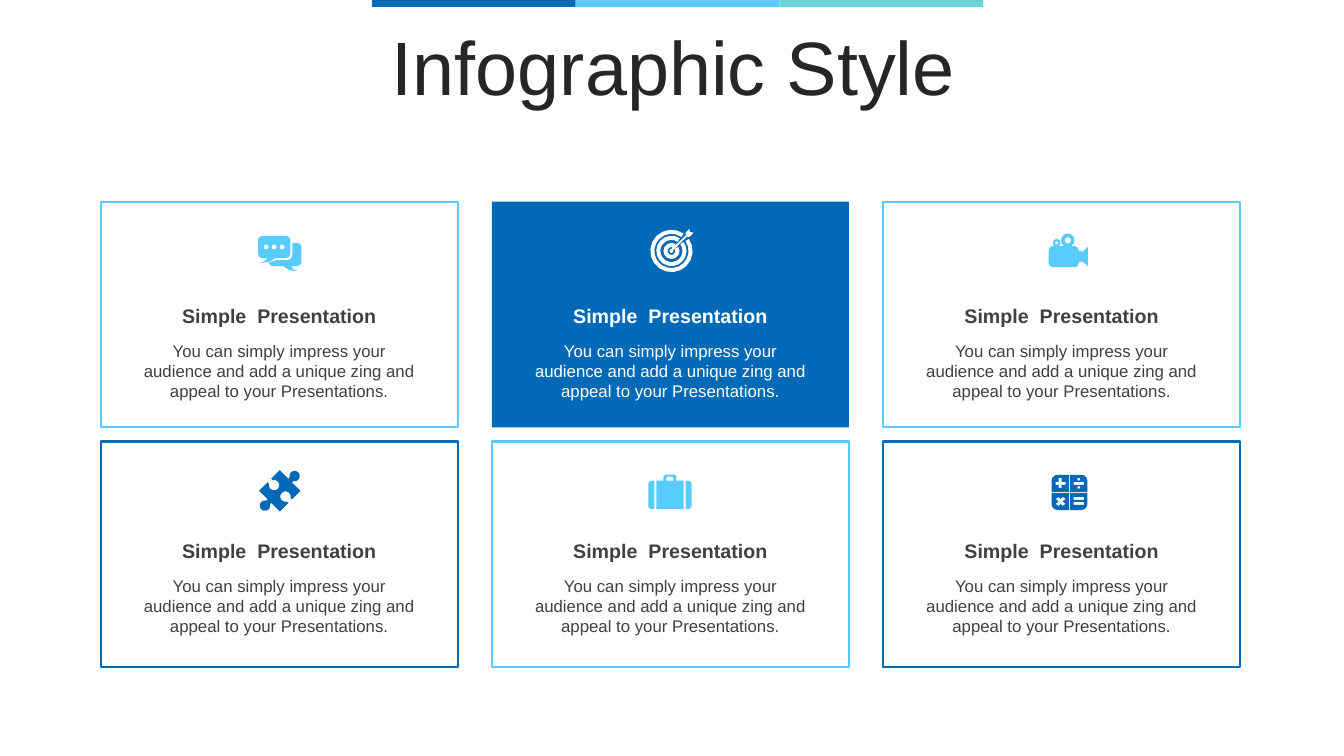
from math import cos, radians, sin

from pptx import Presentation
from pptx.dml.color import RGBColor
from pptx.enum.shapes import MSO_SHAPE as Preset
from pptx.enum.text import MSO_ANCHOR as Anchor, MSO_AUTO_SIZE as AutoSize, PP_ALIGN as Align
from pptx.util import Inches, Pt

BLUE = RGBColor(0x00, 0x6A, 0xB8)
SKY = RGBColor(0x58, 0xCC, 0xFE)
TEAL = RGBColor(0x68, 0xD6, 0xD8)
WHITE = RGBColor(0xFF, 0xFF, 0xFF)
INK = RGBColor(0x26, 0x26, 0x26)
GREY = RGBColor(0x40, 0x40, 0x40)

HEADING = "Simple  Presentation"
MESSAGE = ("You can simply impress your audience and add a unique zing "
           "and appeal to your Presentations.")
CARD_WIDTH, CARD_HEIGHT = 3.54, 2.24
COLUMN_PITCH, ROW_PITCH = 3.88, 2.38
TEXT_WIDTH = 2.98


def arc(x, y, radius, start, end):
    if radius == 0:
        return [(x, y)]
    stride = 45 if radius <= 4 else 30 if radius <= 8 else 20
    steps = round(abs(end - start) / stride)
    angles = [radians(start + (end - start) * i / steps) for i in range(steps + 1)]
    return [(x + radius * cos(a), y + radius * sin(a)) for a in angles]


def disc(x, y, radius):
    return arc(x, y, radius, 0, 360)[:-1]


def band(x, y, outer, inner, start, end):
    return arc(x, y, outer, start, end) + arc(x, y, inner, end, start)


def panel(left, top, right, bottom, corners=(0, 0, 0, 0)):
    a, b, c, d = corners
    return (arc(left + a, top + a, a, 180, 270) + arc(right - b, top + b, b, 270, 360)
            + arc(right - c, bottom - c, c, 0, 90) + arc(left + d, bottom - d, d, 90, 180))


def chat():
    front = (arc(4, 4, 4, 180, 270) + arc(28, 4, 4, 270, 360) + arc(28, 18, 4, 0, 90)
             + [(17, 22), (12, 25.5), (2, 27), (7, 25), (9, 22)] + arc(4, 18, 4, 90, 180))
    back = ([(34, 7)] + arc(39, 11, 4, 270, 360) + arc(39, 26, 4, 0, 90)
            + [(33, 30), (35, 33), (39, 35), (31, 34), (25, 30), (14, 30), (10, 27),
               (18, 24), (29, 24)] + arc(29, 19, 5, 90, 0))
    return [front, back] + [disc(x, 11, 2.5) for x in (8, 16, 24)]


def target():
    arrow = ([(39, 0), (39, 3), (43, 4), (39, 8), (36, 8), (23, 21)]
             + arc(21, 22, 2, 0, 270) + [(35, 7), (35, 4)])
    rings = [(21, 17, -35, 305), (15, 11, -37, 304), (8, 4, -30, 300)]
    return [arrow] + [band(21, 22, *ring) for ring in rings]


def camera():
    lens = [(30, 17), (32, 17), (33, 18), (39, 13), (39, 32), (33, 27), (32, 28), (30, 28)]
    return [panel(0, 12.2, 30, 33, (4, 4, 4, 4)), lens,
            arc(8, 9, 4, 127, 413), disc(8, 9, 1.6),
            arc(19, 6.5, 6.8, 123, 417), disc(19, 6.5, 3.2)]


def puzzle():
    return [[(0, 11.5), (12, 11.5)] + arc(14.5, 5.2, 5.2, 120, 420)
            + [(17, 11.5), (29, 11.5), (29, 23.5)] + arc(22.5, 26, 5.2, -30, -330)
            + [(29, 28.5), (29, 40.5), (17, 40.5)] + arc(14.5, 46.8, 5.2, 300, 600)
            + [(12, 40.5), (0, 40.5), (0, 28.5)] + arc(6.5, 26, 5.2, 150, -150)
            + [(0, 23.5)]]


def suitcase():
    handle = [(15, 6), (15, 2), (17, 0), (26, 0), (28, 2), (28, 6),
              (25, 6), (25, 3), (24, 2), (19, 2), (18, 3), (18, 6)]
    return [panel(0, 6, 6, 34, (3, 0, 0, 3)), panel(8, 6, 35, 34),
            panel(37, 6, 43, 34, (0, 3, 3, 0)), handle]


def calculator():
    keys = [panel(0, 0, 17.3, 17, (6, 0, 0, 0)), panel(18.2, 0, 35.5, 17, (0, 6, 0, 0)),
            panel(18.2, 18, 35.5, 35, (0, 0, 6, 0)), panel(0, 18, 17.3, 35, (0, 0, 0, 6))]
    plus = [(7, 3), (7, 7), (4, 7), (4, 10), (7, 10), (7, 13),
            (10, 13), (10, 10), (14, 10), (14, 7), (10, 7), (10, 3)]
    times = [(7, 22), (4, 24), (7, 26.5), (4, 29), (7, 31), (9, 29),
             (11, 31), (14, 29), (11, 26.5), (14, 24), (11, 22), (9, 24)]
    bars = [panel(22, top, 32, top + 3) for top in (7, 22, 27)]
    return keys + bars + [plus, times, disc(27, 4.5, 1.5), disc(27, 12.5, 1.5)]


def add_panel(slide, left, top, width, height, fill, outline=None):
    shape = slide.shapes.add_shape(Preset.RECTANGLE, *map(Inches, (left, top, width, height)))
    shape.shadow.inherit = False
    shape.fill.solid()
    shape.fill.fore_color.rgb = fill
    if outline is None:
        shape.line.fill.background()
    else:
        shape.line.color.rgb = outline
        shape.line.width = Pt(1.5)


def add_text(slide, left, top, width, height, words, color, frame_format, font_format):
    frame = slide.shapes.add_textbox(*map(Inches, (left, top, width, height))).text_frame
    for name, value in {"word_wrap": True, **frame_format}.items():
        setattr(frame, name, value)
    paragraph = frame.paragraphs[0]
    paragraph.text = words
    paragraph.alignment = Align.CENTER
    for name, value in {"name": "Arial", **font_format}.items():
        setattr(paragraph.font, name, value)
    paragraph.font.color.rgb = color
    return paragraph


def add_icon(slide, left, top, outlines, color, rotation):
    contours = [[(Inches(x / 100), Inches(y / 100)) for x, y in outline] for outline in outlines]
    builder = slide.shapes.build_freeform(*contours[0][0], scale=1.0)
    for index, contour in enumerate(contours):
        if index:
            builder.move_to(*contour[0])
        builder.add_line_segments(contour[1:], close=True)
    icon = builder.convert_to_shape(Inches(left), Inches(top))
    icon.shadow.inherit = False
    icon.fill.solid()
    icon.fill.fore_color.rgb = color
    icon.line.fill.background()
    icon.rotation = rotation


def add_header(slide, left, top, width):
    title = add_text(slide, left, top + 0.31, width, 0.79, "Infographic Style", INK,
                     {"vertical_anchor": Anchor.MIDDLE}, {"size": Pt(54)})
    title.line_spacing = 0.9
    for index, color in enumerate((BLUE, SKY, TEAL)):
        add_panel(slide, left + 3.34 + index * 2.02, top, 2.02, 0.07, color)


def add_card(slide, left, top, text_top, icon, accent, filled):
    draw, icon_left, icon_top, rotation = icon
    add_panel(slide, left, top, CARD_WIDTH, CARD_HEIGHT,
              accent if filled else WHITE, None if filled else accent)
    text_left = left + (CARD_WIDTH - TEXT_WIDTH) / 2
    text_color = WHITE if filled else GREY
    growing = {"auto_size": AutoSize.SHAPE_TO_FIT_TEXT}
    add_text(slide, text_left, top + text_top + 0.36, TEXT_WIDTH, 0.71, MESSAGE, text_color,
             growing, {"size": Pt(12)})
    add_text(slide, text_left, top + text_top, TEXT_WIDTH, 0.34, HEADING, text_color,
             growing, {"size": Pt(14), "bold": True})
    add_icon(slide, left + icon_left, top + icon_top, draw(), WHITE if filled else accent, rotation)


def add_cards(slide, left, top):
    rows = [
        (0.97, [((chat, 1.56, 0.34, 0), SKY, False),
                ((target, 1.57, 0.27, 0), BLUE, True),
                ((camera, 1.64, 0.32, 0), SKY, False)]),
        (0.92, [((puzzle, 1.63, 0.23, 45), BLUE, False),
                ((suitcase, 1.55, 0.33, 0), SKY, False),
                ((calculator, 1.67, 0.33, 0), BLUE, False)]),
    ]
    for row, (text_top, cards) in enumerate(rows):
        for column, card in enumerate(cards):
            add_card(slide, left + column * COLUMN_PITCH, top + row * ROW_PITCH, text_top, *card)


def main():
    deck = Presentation()
    deck.slide_width, deck.slide_height = Inches(13.33), Inches(7.5)
    slide = deck.slides.add_slide(deck.slide_layouts[6])
    add_header(slide, 0.35, 0, 12.66)
    add_cards(slide, 1, 2)
    deck.save("out.pptx")


if __name__ == "__main__":
    main()
